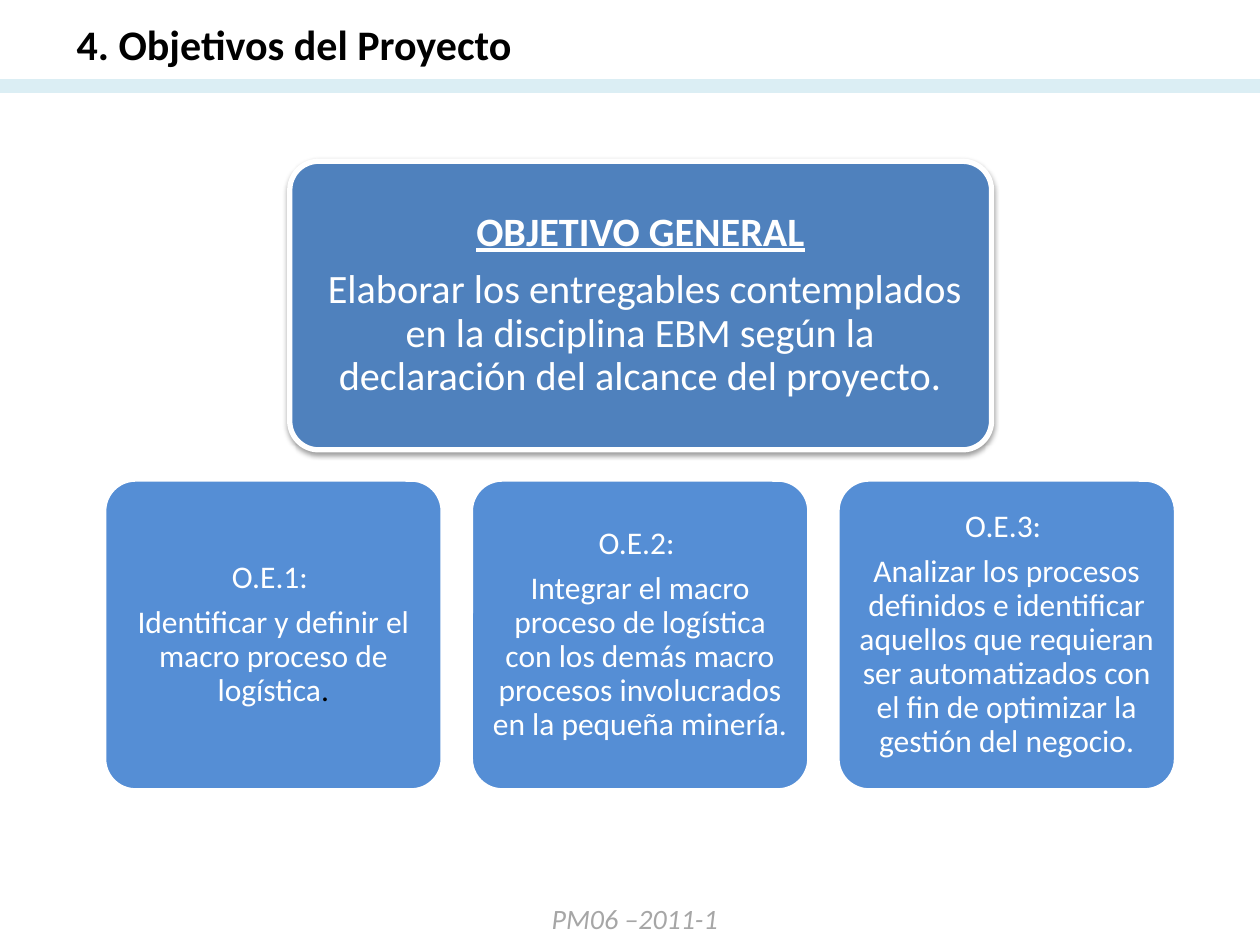
import pptx
import pptx.dml.color
import pptx.enum.shapes
import pptx.enum.text
import pptx.oxml
import pptx.util
from dataclasses import dataclass
from typing import Any

WIDE, HIGH = 10, 7.5
NS = "http://schemas.openxmlformats.org/drawingml/2006/main"


@dataclass(frozen=True)
class Theme:
    font: str = "Calibri"
    white: str = "FFFFFF"
    black: str = "000000"
    gray: str = "A6A6A6"
    band: str = "DBEEF4"
    main: str = "4F81BD"
    goal: str = "558ED5"
    title: float = 24
    lead: float = 23
    body: float = 18
    foot: float = 16


@dataclass(frozen=True)
class Run:
    text: str
    color: str
    bold: bool = False
    under: bool = False
    slant: bool = False


@dataclass(frozen=True)
class Card:
    left: float
    top: float
    width: float
    height: float
    fill: str
    edge: float
    inset: float
    size: float
    paras: list[list[Run]]
    shade: bool = False


T = Theme()


def inch(size: float) -> pptx.util.Emu:
    return pptx.util.Inches(size)


def tint(code: str) -> pptx.dml.color.RGBColor:
    return pptx.dml.color.RGBColor.from_string(code)


def write(frame: Any, paras: list[list[Run]], *, size: float, center: bool = False,
          line: float = 1, after: float = 0) -> None:
    for i, runs in enumerate(paras):
        para = frame.add_paragraph() if i else frame.paragraphs[0]
        para.line_spacing = line
        para.space_after = pptx.util.Pt(after)
        if center:
            para.alignment = pptx.enum.text.PP_ALIGN.CENTER
        for item in runs:
            run = para.add_run()
            run.text = item.text
            font = run.font
            font.name, font.size = T.font, pptx.util.Pt(size)
            font.bold, font.italic, font.underline = item.bold, item.slant, item.under
            font.color.rgb = tint(item.color)


def label(slide: Any, left: float, top: float, width: float, height: float,
          run: Run, size: float, wrap: bool) -> None:
    box = slide.shapes.add_textbox(inch(left), inch(top), inch(width), inch(height))
    box.text_frame.word_wrap = wrap
    box.text_frame.auto_size = pptx.enum.text.MSO_AUTO_SIZE.SHAPE_TO_FIT_TEXT
    write(box.text_frame, [[run]], size=size)


def stripe(slide: Any, y: float) -> None:
    line = slide.shapes.add_connector(
        pptx.enum.shapes.MSO_CONNECTOR.STRAIGHT, 0, inch(y), inch(WIDE), inch(y))
    line.line.color.rgb = tint(T.band)
    line.line.width = pptx.util.Pt(8)
    line._element.spPr.append(pptx.oxml.parse_xml(f'<a:effectLst xmlns:a="{NS}"/>'))


def shade(shape: Any) -> None:
    blur, dist = pptx.util.Pt(3.1), pptx.util.Pt(1.6)
    shape._element.spPr.find(f"{{{NS}}}effectLst").append(pptx.oxml.parse_xml(
        f'<a:outerShdw xmlns:a="{NS}" blurRad="{blur}" dist="{dist}" dir="5400000" '
        f'rotWithShape="0"><a:srgbClr val="{T.black}"><a:alpha val="38000"/>'
        '</a:srgbClr></a:outerShdw>'))


def draw(slide: Any, card: Card) -> None:
    shape = slide.shapes.add_shape(
        pptx.enum.shapes.MSO_SHAPE.ROUNDED_RECTANGLE,
        inch(card.left), inch(card.top), inch(card.width), inch(card.height))
    shape.adjustments[0] = 0.1
    shape.shadow.inherit = False
    shape.fill.solid()
    shape.fill.fore_color.rgb = tint(card.fill)
    shape.line.color.rgb = tint(T.white)
    shape.line.width = pptx.util.Pt(card.edge)
    if card.shade:
        shade(shape)
    frame = shape.text_frame
    frame.word_wrap = True
    frame.vertical_anchor = pptx.enum.text.MSO_ANCHOR.MIDDLE
    frame.margin_left = frame.margin_right = inch(card.inset)
    frame.margin_top = frame.margin_bottom = inch(card.inset)
    write(frame, card.paras, size=card.size, center=True, line=0.9,
          after=round(card.size * 0.35, 1))


def main() -> None:
    deck = pptx.Presentation()
    deck.slide_width, deck.slide_height = inch(WIDE), inch(HIGH)
    slide = deck.slides.add_slide(deck.slide_layouts[6])

    label(slide, 4.28, 7.11, 1.59, 0.37,
          Run("PM06 –2011-1", T.gray, slant=True), T.foot, False)
    stripe(slide, 0.68)
    label(slide, 0.51, 0.1, 5.04, 0.5,
          Run("4. Objetivos del Proyecto", T.black, bold=True), T.title, True)

    draw(slide, Card(2.3, 1.28, 5.57, 2.29, T.main, 3, 0.1, T.lead, [
        [Run("OBJETIVO GENERAL", T.white, bold=True, under=True)],
        [Run(" Elaborar los entregables contemplados en la disciplina EBM según la "
             "declaración del alcance del proyecto.", T.white)],
    ], shade=True))

    goals = [
        [Run("Identificar y definir el macro proceso de logística", T.white),
         Run(".", T.black)],
        [Run("Integrar el macro proceso de logística con los demás macro procesos "
             "involucrados en la pequeña minería.", T.white)],
        [Run("Analizar los procesos definidos e identificar aquellos que requieran ser "
             "automatizados con el fin de optimizar la gestión del negocio.", T.white)],
    ]
    left, step = 0.83, 2.91
    for i, goal in enumerate(goals):
        draw(slide, Card(left + i * step, 3.81, 2.68, 2.46, T.goal, 2, 0.07, T.body,
                         [[Run(f"O.E.{i + 1}: ", T.white)], goal]))

    deck.save("out.pptx")


if __name__ == "__main__":
    main()
